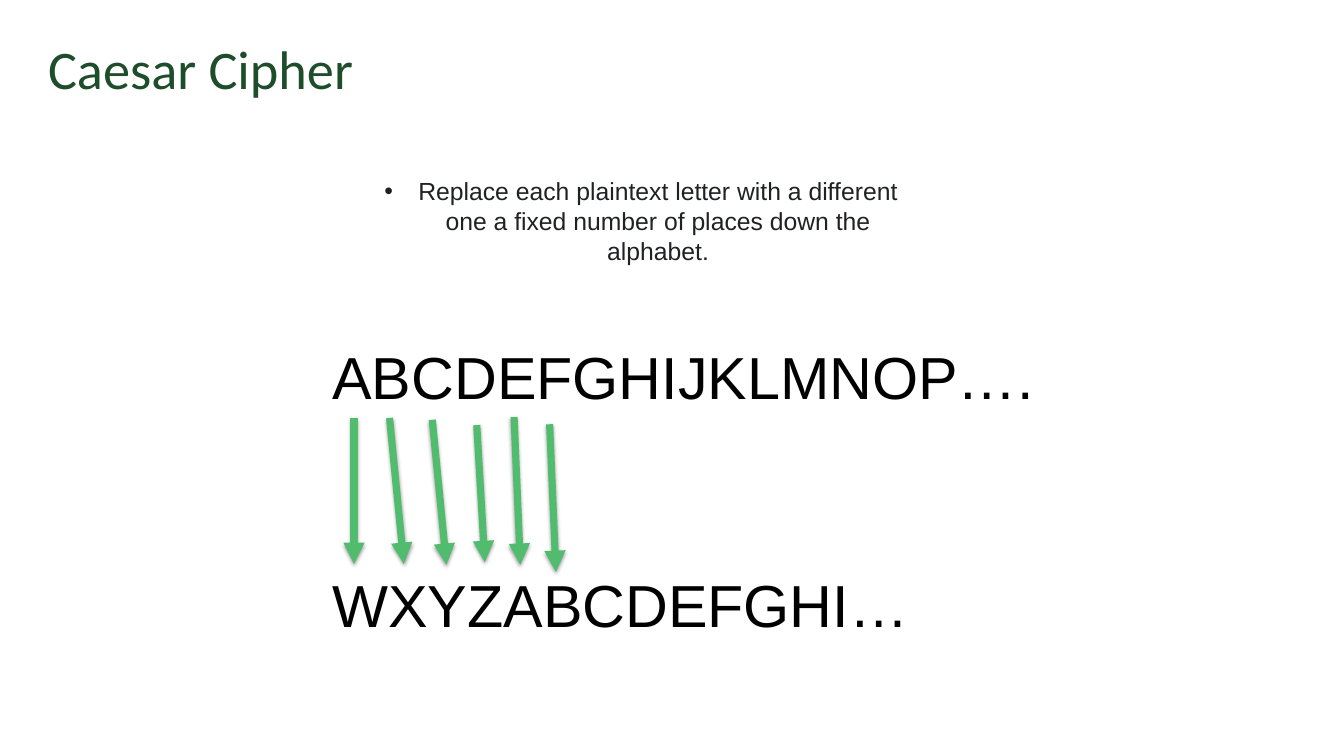
from dataclasses import dataclass

from lxml.etree import SubElement
from pptx import Presentation
from pptx.dml.color import RGBColor
from pptx.enum.shapes import MSO_CONNECTOR
from pptx.enum.text import MSO_ANCHOR, PP_ALIGN
from pptx.oxml import parse_xml
from pptx.oxml.ns import nsdecls, qn
from pptx.util import Inches, Pt


@dataclass(frozen=True)
class Theme:
    title_font: str = "Calibri"
    font: str = "Arial"
    title_color: str = "1E4D2B"
    body_color: str = "202122"
    letter_color: str = "000000"
    arrow_color: str = "51BB6E"
    title_size: int = 44
    body_size: int = 20
    letter_size: int = 48
    arrow_width: float = 5.75


THEME = Theme()

# Start and end of each arrow, in percent of the cipher region
ARROWS = [
    ((3.96, 26.51), (3.96, 73.78)),
    ((8.62, 26.51), (10.49, 73.78)),
    ((14.22, 27.09), (16.08, 74.06)),
    ((20.05, 28.82), (21.1, 73.2)),
    ((24.94, 26.22), (25.76, 74.06)),
    ((29.6, 28.53), (30.42, 76.37)),
]


@dataclass(frozen=True)
class Box:
    left: int
    top: int
    width: int
    height: int

    def point(self, x, y):
        """Return the place x percent across and y percent down the box."""
        return (self.left + round(self.width * x / 100),
                self.top + round(self.height * y / 100))

    def inner(self, x, y, w, h):
        """Return an inner box, given in percent of this one."""
        left, top = self.point(x, y)
        right, bottom = self.point(x + w, y + h)
        return Box(left, top, right - left, bottom - top)


def place(sp, box):
    sp.left, sp.top, sp.width, sp.height = box.left, box.top, box.width, box.height


def write(sp, text, *, size, color, font=THEME.font, align=PP_ALIGN.LEFT,
          anchor=MSO_ANCHOR.TOP, bullet_indent=None):
    tf = sp.text_frame
    tf.word_wrap = True
    tf.vertical_anchor = anchor
    p = tf.paragraphs[0]
    p.alignment = align
    p.space_before = Pt(0)
    if bullet_indent:
        pPr = p._p.get_or_add_pPr()
        pPr.set("marL", str(bullet_indent))
        pPr.set("indent", str(-bullet_indent))
        SubElement(pPr, qn("a:buFont"), typeface=font)
        SubElement(pPr, qn("a:buChar"), char="•")
    r = p.add_run()
    r.text = text
    r.font.name = font
    r.font.size = Pt(size)
    r.font.color.rgb = RGBColor.from_string(color)


def add_title(slide, box):
    sp = slide.shapes.title
    place(sp, box)
    write(sp, "Caesar Cipher", size=THEME.title_size, color=THEME.title_color,
          font=THEME.title_font, anchor=MSO_ANCHOR.MIDDLE)


def add_definition(slide, box):
    sp = slide.placeholders[1]
    place(sp, box)
    write(sp, "Replace each plaintext letter with a different one "
          "a fixed number of places down the alphabet.",
          size=THEME.body_size, color=THEME.body_color,
          align=PP_ALIGN.CENTER, bullet_indent=Inches(0.38))


def add_letters(slide, box, text):
    sp = slide.shapes.add_textbox(box.left, box.top, box.width, box.height)
    write(sp, text, size=THEME.letter_size, color=THEME.letter_color)


def add_arrow(slide, start, end):
    arrow = slide.shapes.add_connector(MSO_CONNECTOR.STRAIGHT, *start, *end)
    arrow.line.color.rgb = RGBColor.from_string(THEME.arrow_color)
    arrow.line.width = Pt(THEME.arrow_width)
    spPr = arrow._element.spPr
    SubElement(spPr.find(qn("a:ln")), qn("a:tailEnd"), type="triangle")
    spPr.append(parse_xml(
        f'<a:effectLst {nsdecls("a")}>'
        f'<a:outerShdw blurRad="{Pt(3.1)}" dist="{Pt(1.6)}" dir="5400000" rotWithShape="0">'
        '<a:srgbClr val="000000"><a:alpha val="38000"/></a:srgbClr>'
        '</a:outerShdw></a:effectLst>'))


def add_cipher(slide, box):
    """Place the plain alphabet above the shifted one, joined by arrows."""
    add_letters(slide, box.inner(0, 0, 100, 26.2), "ABCDEFGHIJKLMNOP….")
    add_letters(slide, box.inner(0, 73.8, 78.67, 26.2), "WXYZABCDEFGHI…")
    for start, end in ARROWS:
        add_arrow(slide, box.point(*start), box.point(*end))


def main():
    prs = Presentation()
    prs.slide_width, prs.slide_height = Inches(15.11), Inches(8.5)
    slide = prs.slides.add_slide(prs.slide_layouts[1])
    page = Box(0, 0, prs.slide_width, prs.slide_height)
    add_title(slide, page.inner(2.91, 4, 94.24, 10))
    add_cipher(slide, page.inner(24.09, 44.47, 56.78, 40.83))
    add_definition(slide, page.inner(27.33, 22.71, 40.77, 13.06))
    prs.save("out.pptx")


if __name__ == "__main__":
    main()
